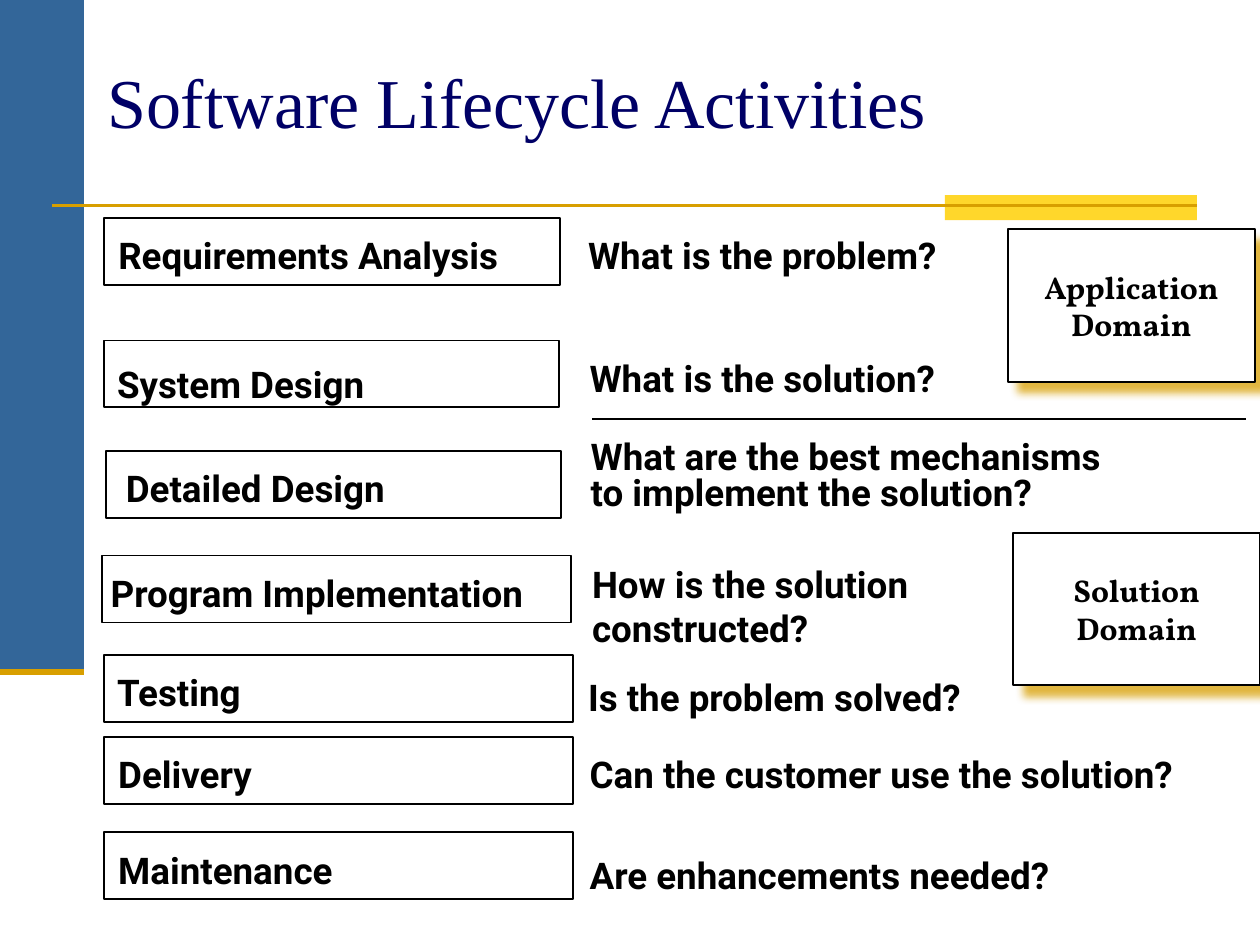
from lxml.etree import SubElement
from pptx import Presentation
from pptx.dml.color import RGBColor
from pptx.enum.shapes import MSO_CONNECTOR as Connector, MSO_SHAPE as Shape
from pptx.enum.text import MSO_ANCHOR as Anchor, MSO_AUTO_SIZE as AutoSize, PP_ALIGN as Align
from pptx.oxml.ns import qn
from pptx.util import Pt

BLACK = RGBColor(0x00, 0x00, 0x00)
WHITE = RGBColor(0xFF, 0xFF, 0xFF)
NAVY = RGBColor(0x00, 0x00, 0x66)
BLUE = RGBColor(0x33, 0x66, 0x99)
YELLOW = RGBColor(0xFF, 0xD7, 0x2B)
GOLD = RGBColor(0xD8, 0x9F, 0x00)

TITLE_FONT = {"name": "Times New Roman", "size": Pt(40), "bold": False}
BODY_FONT = {"name": "Roboto", "size": Pt(21), "bold": True}
DOMAIN_FONT = {"name": "Vollkorn", "size": Pt(18), "bold": True}

STAGE_HEIGHT = 38.2
STAGES = [
    ((59.5, 124.5, 260.6), "Requirements Analysis", (60.5, 129.6, 246.2)),
    ((59.5, 194.6, 260), "System Design", (59.8, 203, 164.2)),
    ((60.5, 257.8, 260), "Detailed Design", (64.8, 262.8, 171.4)),
    ((58.3, 317.5, 268), "Program Implementation", (56.2, 322.6, 261.4)),
    ((59.5, 374.3, 268), "Testing", (59.8, 379.4, 88.6)),
    ((59.5, 421.1, 268), "Delivery", (60.5, 425.8, 95.8)),
    ((59.5, 475.6, 268), "Maintenance", (60.5, 480.8, 141.1)),
]
QUESTIONS = [
    ("What is the problem?", (329, 129.6, 227.5)),
    ("What is the solution?", (329.8, 199.6, 226.1)),
    ("What are the best mechanisms", (330.5, 244.1, 321.8)),
    ("to implement the solution?", (330.5, 264.8, 288)),
    ("How is the solution\nconstructed?", (331.2, 317.5, 212.4)),
    ("Is the problem solved?", (329, 382.3, 242.6)),
    ("Can the customer use the solution?", (329.8, 426.2, 370.8)),
    ("Are enhancements needed?", (329.8, 483.8, 294.5)),
]
DOMAINS = [("Application\nDomain", 576, 131), ("Solution\nDomain", 579, 304.5)]


def write_text(shape, text, font, colour, align=Align.LEFT, anchor=Anchor.TOP):
    """Fill a shape with formatted paragraphs, one for each line of text."""
    frame = shape.text_frame
    frame.text = text
    frame.vertical_anchor = anchor
    for para in frame.paragraphs:
        para.alignment = align
        for span in para.runs:
            for key, value in font.items():
                setattr(span.font, key, value)
            span.font.color.rgb = colour
    return frame


def add_box(page, left, top, width, height, fill, line=None):
    """Add a flat rectangle with an optional thin outline."""
    box = page.shapes.add_shape(Shape.RECTANGLE, Pt(left), Pt(top), Pt(width), Pt(height))
    box.shadow.inherit = False
    box.fill.solid()
    box.fill.fore_color.rgb = fill
    if line is None:
        box.line.fill.background()
    else:
        box.line.color.rgb = line
        box.line.width = Pt(1)
    return box


def add_rule(page, left, right, top, colour, weight):
    """Add a horizontal line without a shadow."""
    rule = page.shapes.add_connector(Connector.STRAIGHT, Pt(left), Pt(top), Pt(right), Pt(top))
    rule.line.color.rgb = colour
    rule.line.width = Pt(weight)
    SubElement(rule._element.spPr, qn("a:effectLst"))


def add_label(page, text, left, top, width):
    """Add an unwrapped bold text box that grows with its lines."""
    height = 32.4 + 25.2 * text.count("\n")
    label = page.shapes.add_textbox(Pt(left), Pt(top), Pt(width), Pt(height))
    frame = write_text(label, text, BODY_FONT, BLACK)
    frame.word_wrap = False
    frame.auto_size = AutoSize.SHAPE_TO_FIT_TEXT


def add_domain(page, text, left, top):
    """Add a domain card with a soft gold shadow."""
    card = add_box(page, left, top, 141.1, 87.2, WHITE, BLACK)
    frame = write_text(card, text, DOMAIN_FONT, BLACK, Align.CENTER, Anchor.MIDDLE)
    frame.word_wrap = False
    effects = card._element.spPr.find(qn("a:effectLst"))
    shadow = SubElement(effects, qn("a:outerShdw"), blurRad=str(Pt(5)), dist=str(Pt(8.5)),
                        dir=str(45 * 60000), algn="ctr", rotWithShape="0")
    tint = SubElement(shadow, qn("a:srgbClr"), val=str(GOLD))
    SubElement(tint, qn("a:alpha"), val="75000")


def add_title(page, text):
    """Place and format the title placeholder."""
    title = page.shapes.title
    place = {"left": Pt(54), "top": Pt(12.2), "width": Pt(612), "height": Pt(90)}
    for key, value in place.items():
        setattr(title, key, value)
    write_text(title, text, TITLE_FONT, NAVY, anchor=Anchor.MIDDLE)


def main():
    """Build the lifecycle slide and save it."""
    deck = Presentation()
    deck.slide_width, deck.slide_height = Pt(720), Pt(540)
    page = deck.slides.add_slide(deck.slide_layouts[5])
    add_box(page, 0, 0, 48, 384, BLUE)
    add_box(page, 540, 111.5, 144, 14.4, YELLOW)
    add_rule(page, 30, 684, 117.5, GOLD, 1.5)
    add_rule(page, 0, 48, 384, GOLD, 3.5)
    add_title(page, "Software Lifecycle Activities")
    for box, text, place in STAGES:
        add_box(page, *box, STAGE_HEIGHT, WHITE, BLACK)
        add_label(page, text, *place)
    for text, place in QUESTIONS:
        add_label(page, text, *place)
    for domain in DOMAINS:
        add_domain(page, *domain)
    add_rule(page, 338.4, 712, 239.6, BLACK, 1)
    deck.save("out.pptx")


if __name__ == "__main__":
    main()
